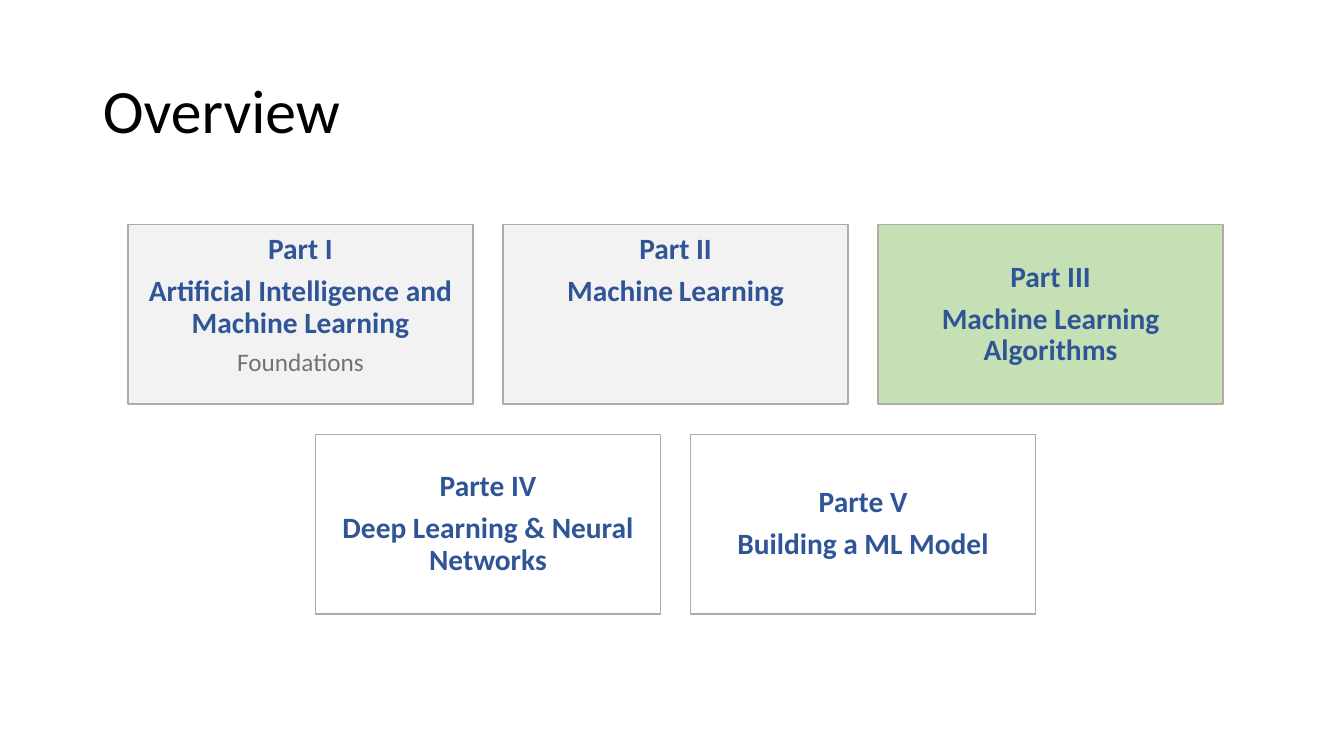
from pptx import Presentation
from pptx.dml.color import RGBColor
from pptx.enum.shapes import MSO_SHAPE
from pptx.enum.text import MSO_ANCHOR, PP_ALIGN
from pptx.util import Inches, Pt

RECTANGLE = MSO_SHAPE.RECTANGLE
TOP, MIDDLE = MSO_ANCHOR.TOP, MSO_ANCHOR.MIDDLE
LEFT, CENTER = PP_ALIGN.LEFT, PP_ALIGN.CENTER

FONT = "Calibri"
COLORS = {
    "title": "000000",
    "heading": "2F5597",
    "detail": "767171",
    "border": "AFABAB",
    "done": "F2F2F2",
    "current": "C5E0B4",
    "upcoming": "FFFFFF",
}
TEXT_STYLES = {
    "title": (44, False),
    "heading": (21, True),
    "detail": (18, False),
}

BOX_WIDTH, BOX_HEIGHT, GAP = 3.42, 1.78, 0.3
ROWS_CENTER, ROWS_TOP = 6.7, 2.23

ROWS = [
    [
        ("done", TOP, [
            [("Part I", "heading")],
            [("Artificial Intelligence and Machine Learning", "heading")],
            [("Foundations", "detail")],
        ]),
        ("done", TOP, [
            [("Part II", "heading")],
            [("Machine", "heading"), (" ", "detail"), ("Learning", "heading")],
        ]),
        ("current", MIDDLE, [
            [("Part III", "heading")],
            [("Machine Learning Algorithms", "heading")],
        ]),
    ],
    [
        ("upcoming", MIDDLE, [
            [("Parte IV", "heading")],
            [("Deep Learning & Neural Networks", "heading")],
        ]),
        ("upcoming", MIDDLE, [
            [("Parte V", "heading")],
            [("Building a ML Model", "heading")],
        ]),
    ],
]


def color(name):
    return RGBColor.from_string(COLORS[name])


def add_run(paragraph, text, style):
    run = paragraph.add_run()
    run.text = text
    size, bold = TEXT_STYLES[style]
    run.font.name = FONT
    run.font.size = Pt(size)
    run.font.bold = bold
    run.font.color.rgb = color(style)


def set_title(slide, text):
    title = slide.shapes.title
    title.left, title.top = Inches(0.92), Inches(0.4)
    title.width, title.height = Inches(11.5), Inches(1.45)
    title.text_frame.vertical_anchor = MIDDLE
    paragraph = title.text_frame.paragraphs[0]
    paragraph.alignment = LEFT
    paragraph.line_spacing = 0.9
    add_run(paragraph, text, "title")


def add_part_box(slide, left, top, fill, anchor, lines):
    box = slide.shapes.add_shape(
        RECTANGLE, Inches(left), Inches(top), Inches(BOX_WIDTH), Inches(BOX_HEIGHT))
    box.shadow.inherit = False
    box.fill.solid()
    box.fill.fore_color.rgb = color(fill)
    box.line.color.rgb = color("border")
    box.line.width = Pt(1)

    frame = box.text_frame
    frame.word_wrap = True
    frame.vertical_anchor = anchor
    frame.margin_left = frame.margin_right = Inches(0.08)
    frame.margin_top = frame.margin_bottom = Inches(0.09)
    for index, runs in enumerate(lines):
        paragraph = frame.add_paragraph() if index else frame.paragraphs[0]
        paragraph.alignment = CENTER
        paragraph.line_spacing = 0.9
        paragraph.space_after = Pt(7.35)
        for text, style in runs:
            add_run(paragraph, text, style)


def add_row(slide, top, parts):
    row_width = len(parts) * (BOX_WIDTH + GAP) - GAP
    for column, part in enumerate(parts):
        left = ROWS_CENTER - row_width / 2 + column * (BOX_WIDTH + GAP)
        add_part_box(slide, left, top, *part)


def main():
    presentation = Presentation()
    presentation.slide_width = Inches(13.33)
    presentation.slide_height = Inches(7.5)
    slide = presentation.slides.add_slide(presentation.slide_layouts[5])
    set_title(slide, "Overview")
    for index, parts in enumerate(ROWS):
        add_row(slide, ROWS_TOP + index * (BOX_HEIGHT + GAP), parts)
    presentation.save("out.pptx")


if __name__ == "__main__":
    main()
